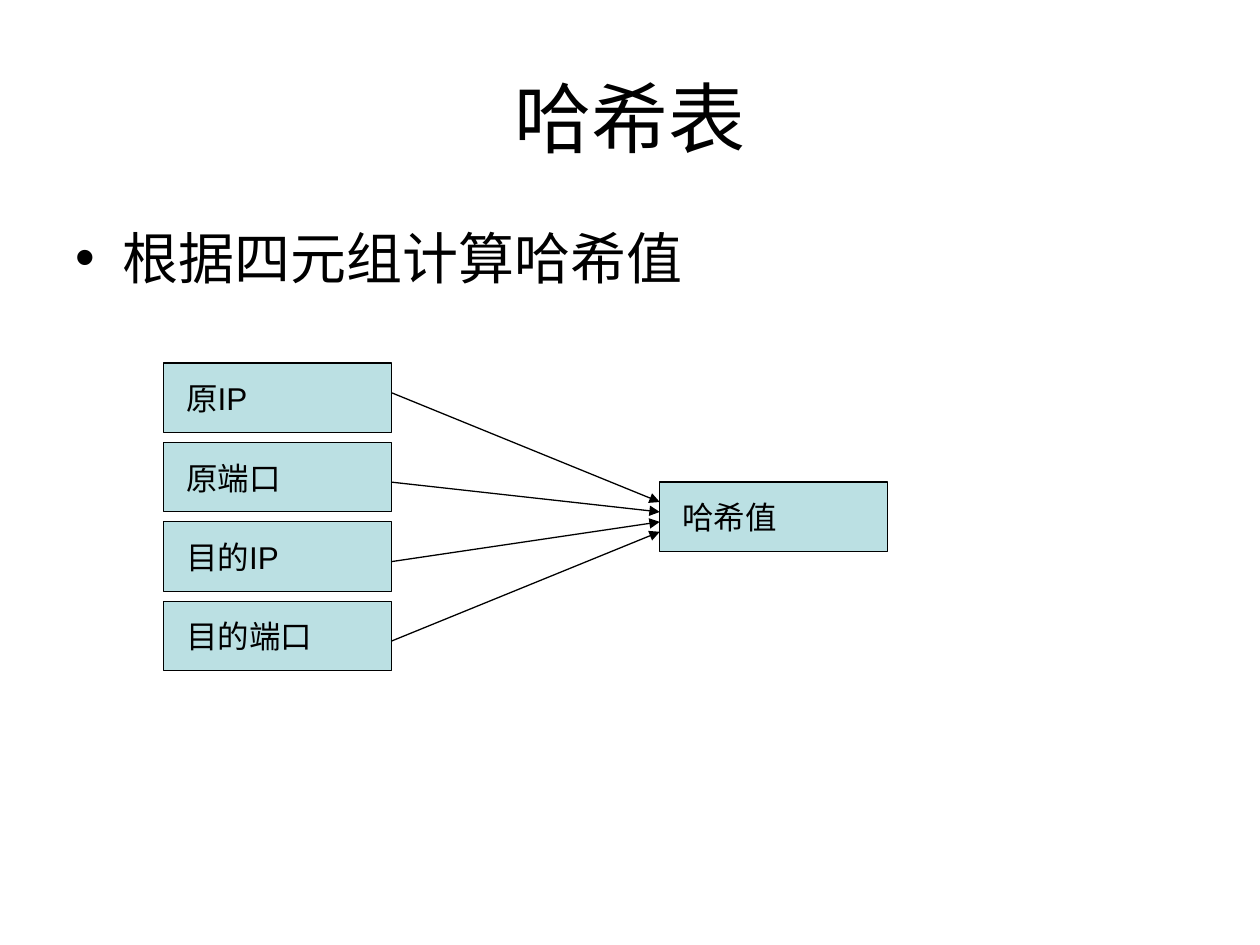
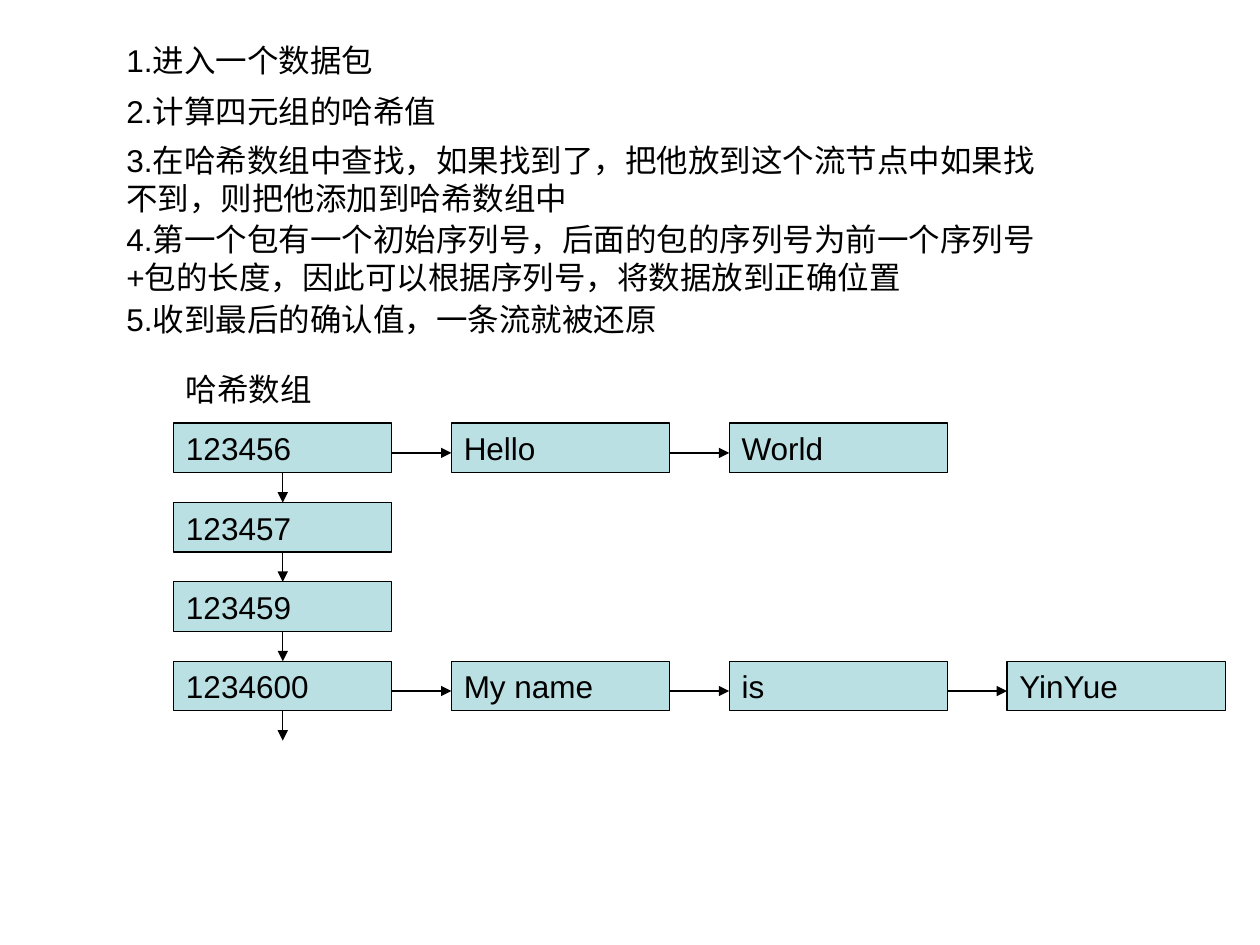
from itertools import pairwise

from lxml.etree import SubElement
from pptx import Presentation
from pptx.dml.color import RGBColor
from pptx.enum.shapes import MSO_CONNECTOR, MSO_SHAPE
from pptx.enum.text import MSO_ANCHOR, PP_ALIGN
from pptx.oxml.ns import qn
from pptx.util import Mm, Pt

# The slide is a grid of 1 mm cells; boxes are (left, top, width, height) in cells
COLUMNS, ROWS = 254, 190.5
INK, NODE_FILL = "000000", "BBE0E3"
FONT = "Arial"
TOP, LEFT, BOTTOM, RIGHT = range(4)


def color(value):
    return RGBColor.from_string(value)


def cells(*counts):
    return [Mm(count) for count in counts]


def write(frame, text, size=18, align=PP_ALIGN.LEFT, anchor=MSO_ANCHOR.TOP,
          inset=(2.54, 1.27), bullet=None, indent=9.5):
    frame.word_wrap = True
    frame.vertical_anchor = anchor
    frame.margin_left = frame.margin_right = Mm(inset[0])
    frame.margin_top = frame.margin_bottom = Mm(inset[1])
    para = frame.paragraphs[0]
    para.alignment = align
    if bullet:
        properties = para._p.get_or_add_pPr()
        properties.set("marL", str(Mm(indent)))
        properties.set("indent", str(-Mm(indent)))
        SubElement(properties, qn("a:buFont"), typeface=FONT)
        SubElement(properties, qn("a:buChar"), char=bullet)
    span = para.add_run()
    span.text = text
    span.font.name = FONT
    span.font.size = Pt(size)
    span.font.color.rgb = color(INK)


def add_text(page, box, text, **style):
    write(page.shapes.add_textbox(*cells(*box)).text_frame, text, **style)


def add_node(page, box, text, **style):
    node = page.shapes.add_shape(MSO_SHAPE.RECTANGLE, *cells(*box))
    node.shadow.inherit = False
    node.fill.solid()
    node.fill.fore_color.rgb = color(NODE_FILL)
    node.line.color.rgb = color(INK)
    node.line.width = Pt(0.75)
    write(node.text_frame, text, **style)
    return node


def add_arrow(page, start, end):
    arrow = page.shapes.add_connector(MSO_CONNECTOR.STRAIGHT, *cells(*start, *end))
    arrow.line.color.rgb = color(INK)
    arrow.line.width = Pt(0.75)
    SubElement(arrow.line._get_or_add_ln(), qn("a:tailEnd"), type="triangle")
    SubElement(arrow._element.spPr, qn("a:effectLst"))
    return arrow


def add_hash_inputs(page, box, fields, result):
    """Stacked fields on the left, all pointing at one result on the right."""
    left, top, width, height = box
    node_width, node_height = 46, 14
    pitch = (height - node_height) / (len(fields) - 1)
    style = {"inset": (4.54, 3.27)}
    result_left = left + width - node_width
    result_top = top + (height - node_height) / 2

    for row, field in enumerate(fields):
        add_node(page, (left, top + row * pitch, node_width, node_height), field, **style)
    add_node(page, (result_left, result_top, node_width, node_height), result, **style)

    # Arrows converge on the left side of the result
    for row, start in enumerate((6, 24, 40, 56)):
        add_arrow(page, (left + node_width, top + start),
                  (result_left, result_top + 4 + 2 * row))


def add_steps(page, box, steps):
    left, top, width = box
    for number, (offset, step) in enumerate(steps, 1):
        height = 18 if len(step) > 30 else 10
        add_text(page, (left, top + offset, width, height), f"{number}.{step}")


def add_hash_array(page, box, title, chains):
    """Keys run down the first column; each key's packets run to the right."""
    left, top, node_width, node_height = box
    column_pitch, row_pitch, arrow_drop = 56, 16, 6
    add_text(page, (left, top - 12, node_width, node_height), title)

    keys = []
    for row, chain in enumerate(chains):
        y = top + row * row_pitch
        for column, label in enumerate(chain):
            x = left + column * column_pitch
            node = add_node(page, (x, y, node_width, node_height), label)
            if column == 0:
                keys.append(node)
            else:
                add_arrow(page, (x - column_pitch + node_width, y + arrow_drop),
                          (x, y + arrow_drop))

    # Arrows between keys, then one leading onward from the last key
    middle = left + node_width / 2
    for upper, lower in pairwise(keys):
        arrow = add_arrow(page, (middle, top), (middle, top))
        arrow.begin_connect(upper, BOTTOM)
        arrow.end_connect(lower, TOP)
    end = top + len(chains) * row_pitch
    onward = add_arrow(page, (middle, end - row_pitch + node_height), (middle, end))
    onward.begin_connect(keys[-1], BOTTOM)


def build_hash_table(page):
    margin = COLUMNS / 20
    width = COLUMNS - 2 * margin
    add_text(page, (margin, ROWS * 0.04, width, ROWS / 6), "哈希表", size=44,
             align=PP_ALIGN.CENTER, anchor=MSO_ANCHOR.MIDDLE)
    add_text(page, (margin, ROWS * 0.23, width, ROWS * 0.66),
             "根据四元组计算哈希值", size=32, bullet="•")
    add_hash_inputs(page, (33, 73.2, 146, 62),
                    ("原IP", "原端口", "目的IP", "目的端口"), "哈希值")


def build_reassembly(page):
    add_steps(page, (23, 7, 190), (
        (0, "进入一个数据包"),
        (10.3, "计算四元组的哈希值"),
        (20.2, "在哈希数组中查找，如果找到了，把他放到这个流节点中"
               "如果找不到，则把他添加到哈希数组中"),
        (36.2, "第一个包有一个初始序列号，后面的包的序列号为前一个序列号"
               "+包的长度，因此可以根据序列号，将数据放到正确位置"),
        (52.2, "收到最后的确认值，一条流就被还原"),
    ))
    add_hash_array(page, (35, 85.3, 44, 10), "哈希数组", (
        ("123456", "Hello", "World"),
        ("123457",),
        ("123459",),
        ("1234600", "My name", "is", "YinYue"),
    ))


def main():
    deck = Presentation()
    deck.slide_width, deck.slide_height = cells(COLUMNS, ROWS)
    blank = deck.slide_layouts[6]
    for build in (build_hash_table, build_reassembly):
        build(deck.slides.add_slide(blank))
    deck.save("out.pptx")


if __name__ == "__main__":
    main()
